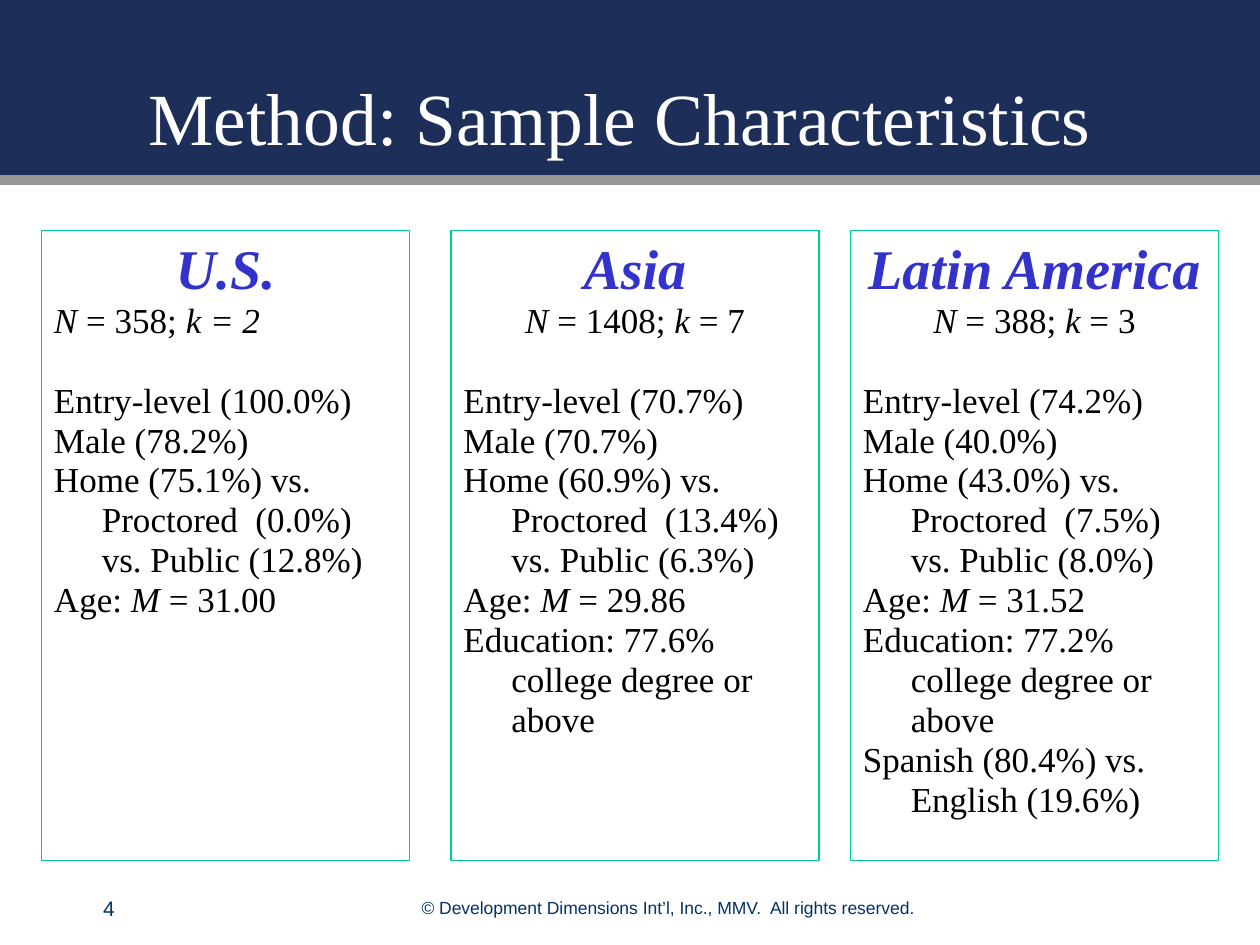
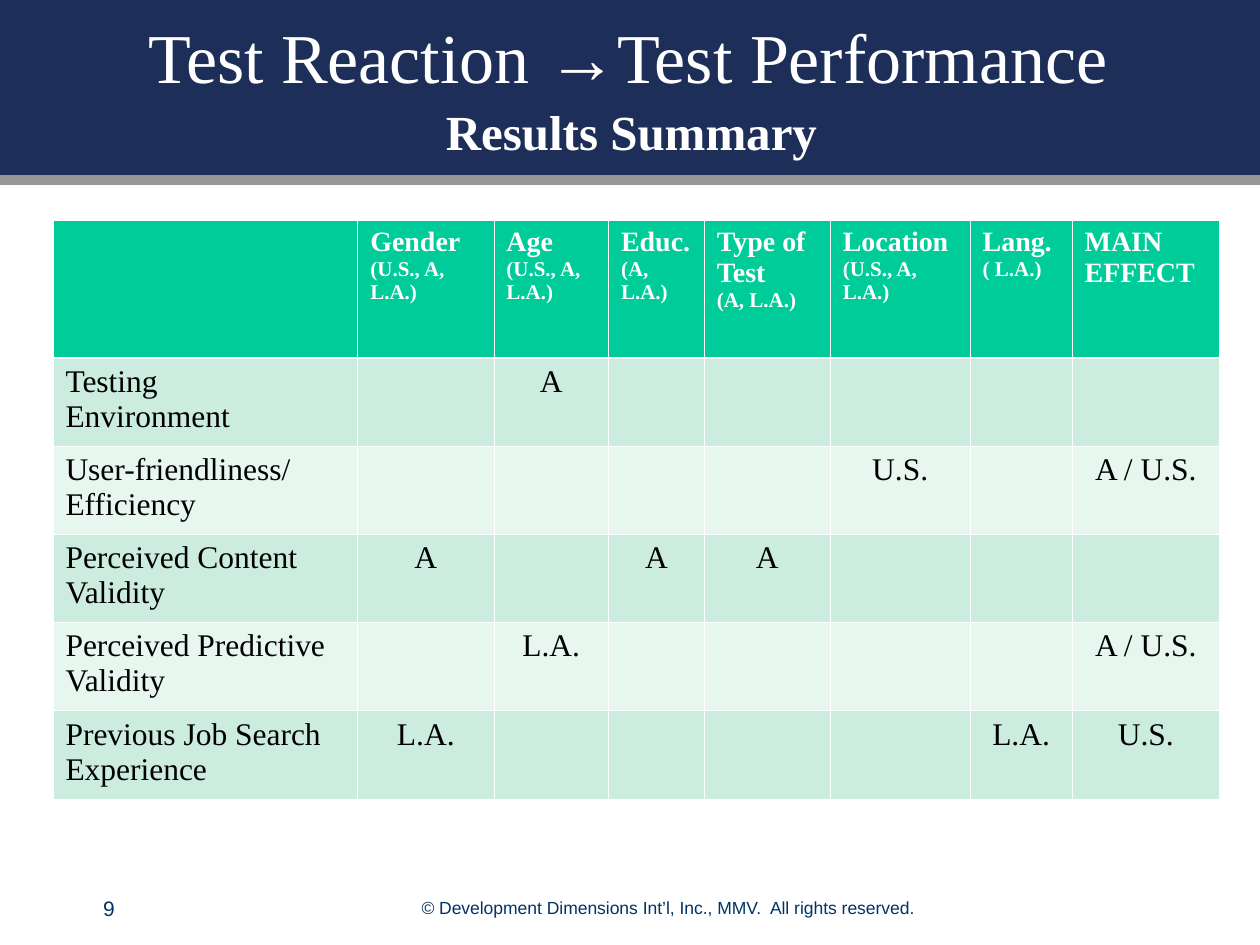
import pptx
import pptx.util
import pptx.dml.color
import pptx.enum.shapes
import pptx.enum.text
import pptx.oxml.ns
import lxml.etree

Inches = pptx.util.Inches
Pt = pptx.util.Pt
RGBColor = pptx.dml.color.RGBColor
ALIGN = pptx.enum.text.PP_ALIGN
ANCHOR = pptx.enum.text.MSO_ANCHOR
qn = pptx.oxml.ns.qn

COPYRIGHT = "© Development Dimensions Int’l, Inc., MMV.  All rights reserved."

SAMPLE_TITLE = [("Method: Sample Characteristics", 42, False, 0)]
SAMPLES = [
    {"left": 0.33, "region": "U.S.", "size": "*N* = 358; *k = 2*", "size_align": ALIGN.LEFT,
     "facts": ["Entry-level (100.0%)", "Male (78.2%)",
               "Home (75.1%) vs. Proctored  (0.0%) vs. Public (12.8%)",
               "Age: *M* = 31.00"]},
    {"left": 3.58, "region": "Asia", "size": "*N* = 1408; *k* = 7", "size_align": ALIGN.CENTER,
     "facts": ["Entry-level (70.7%)", "Male (70.7%)",
               "Home (60.9%) vs. Proctored  (13.4%) vs. Public (6.3%)",
               "Age: *M* = 29.86", "Education: 77.6%  college degree or above"]},
    {"left": 6.75, "region": "Latin America", "size": "*N* = 388; *k* = 3", "size_align": ALIGN.CENTER,
     "facts": ["Entry-level (74.2%)", "Male (40.0%)",
               "Home (43.0%) vs. Proctored  (7.5%) vs. Public (8.0%)",
               "Age: *M* = 31.52", "Education: 77.2% college degree or above",
               "Spanish (80.4%) vs. English (19.6%)"]},
]

RESULTS_TITLE = [("Test Reaction →Test Performance", 40, False, 0),
                 ("Results Summary", 28, True, 2.36)]
MODERATORS = [
    ("", "", 2.42), ("Gender", "(U.S., A, L.A.)", 1.08), ("Age", "(U.S., A, L.A.)", 0.91),
    ("Educ.", "(A, L.A.)", 0.76), ("Type of Test", "(A, L.A.)", 1), ("Location", "(U.S., A, L.A.)", 1.11),
    ("Lang.", "( L.A.)", 0.81), ("MAIN EFFECT", "", 1.17),
]
EFFECTS = [
    (["Testing", "Environment"], {"Age": "A"}),
    (["User-friendliness/ Efficiency"], {"Location": "U.S.", "MAIN EFFECT": "A / U.S."}),
    (["Perceived Content Validity"], {"Gender": "A", "Educ.": "A", "Type of Test": "A"}),
    (["Perceived Predictive Validity"], {"Age": "L.A.", "MAIN EFFECT": "A / U.S."}),
    (["Previous Job Search Experience"], {"Gender": "L.A.", "Lang.": "L.A.", "MAIN EFFECT": "U.S."}),
]

NAVY = RGBColor(0x1D, 0x2E, 0x59)
GREY = RGBColor(0x96, 0x96, 0x96)
FOOTER_BLUE = RGBColor(0x00, 0x33, 0x66)
REGION_BLUE = RGBColor(0x33, 0x33, 0xCC)
GREEN = RGBColor(0x00, 0xCC, 0x99)
STRIPES = (RGBColor(0xCB, 0xEC, 0xDE), RGBColor(0xE7, 0xF6, 0xEF))
WHITE = RGBColor(0xFF, 0xFF, 0xFF)
BLACK = RGBColor(0x00, 0x00, 0x00)
SERIF, SANS = "Times New Roman", "Arial"

WIDTH, HEIGHT = 10, 7.5
BAND_HEIGHT = 1.42
PANEL_TOP, PANEL_WIDTH, PANEL_HEIGHT = 1.83, 2.92, 5
HANGING = 0.38
TITLE_LEADING, PANEL_LEADING = 0.9, 1.14
HEADER_HEIGHT, ROW_HEIGHT = 1.09, 0.7


def add_span(para, text, size, color, font=SERIF, bold=False, italic=False):
    span = para.add_run()
    span.text = text
    span.font.name = font
    span.font.size = Pt(size)
    span.font.color.rgb = color
    span.font.bold = bold
    span.font.italic = italic


def next_para(frame, align=ALIGN.LEFT):
    first = frame.paragraphs[0]
    para = frame.add_paragraph() if first.runs else first
    para.alignment = align
    return para


def set_indent(para, left, first=0):
    properties = para._p.get_or_add_pPr()
    properties.set("marL", str(Inches(left)))
    properties.set("indent", str(Inches(first)))


def add_text_box(page, left, top, width, height, anchor=ANCHOR.TOP):
    box = page.shapes.add_textbox(Inches(left), Inches(top), Inches(width), Inches(height))
    box.text_frame.word_wrap = True
    box.text_frame.vertical_anchor = anchor
    return box.text_frame


def add_rectangle(page, left, top, width, height):
    box = page.shapes.add_shape(pptx.enum.shapes.MSO_SHAPE.RECTANGLE,
                                Inches(left), Inches(top), Inches(width), Inches(height))
    box.shadow.inherit = False
    return box


def add_page(deck, number, title):
    page = deck.slides.add_slide(deck.slide_layouts[6])
    band = add_rectangle(page, 0, 0, WIDTH, BAND_HEIGHT)
    band.fill.solid()
    band.fill.fore_color.rgb = NAVY
    band.line.fill.background()

    rule = page.shapes.add_connector(pptx.enum.shapes.MSO_CONNECTOR.STRAIGHT,
                                     0, Inches(1.43), Inches(WIDTH), Inches(1.43))
    rule.line.color.rgb = GREY
    rule.line.width = Pt(6)
    lxml.etree.SubElement(rule._element.spPr, qn("a:effectLst"))

    frame = add_text_box(page, 2.94, 7.07, 4.72, 0.27)
    add_span(next_para(frame, ALIGN.CENTER), COPYRIGHT, 10, FOOTER_BLUE, SANS)
    frame = add_text_box(page, 0.72, 7.06, 0.97, 0.3)
    add_span(next_para(frame), str(number), 12, FOOTER_BLUE, SANS)

    frame = add_text_box(page, 1.08, 0, 8.08, 1.32, ANCHOR.BOTTOM)
    leading = Pt(title[0][1] * TITLE_LEADING)
    for text, size, bold, indent in title:
        para = next_para(frame)
        para.line_spacing = leading
        set_indent(para, indent)
        add_span(para, text, size, WHITE, bold=bold)
    return page


def add_panel_para(frame, size, align=ALIGN.LEFT):
    para = next_para(frame, align)
    para.line_spacing = Pt(size * PANEL_LEADING)
    set_indent(para, HANGING, -HANGING)
    return para


def add_marked_text(para, text):
    for index, piece in enumerate(text.split("*")):
        if piece:
            add_span(para, piece, 20, BLACK, italic=index % 2 == 1)


def add_sample_panel(page, sample):
    box = add_rectangle(page, sample["left"], PANEL_TOP, PANEL_WIDTH, PANEL_HEIGHT)
    box.fill.background()
    box.line.color.rgb = GREEN
    box.line.width = Pt(0.75)
    frame = box.text_frame
    frame.word_wrap = True
    frame.vertical_anchor = ANCHOR.TOP
    add_span(add_panel_para(frame, 32, ALIGN.CENTER), sample["region"], 32, REGION_BLUE,
             bold=True, italic=True)
    add_marked_text(add_panel_para(frame, 20, sample["size_align"]), sample["size"])
    for index, fact in enumerate(sample["facts"]):
        para = add_panel_para(frame, 20)
        if index == 0:
            para.space_before = Pt(20 * PANEL_LEADING)
        add_marked_text(para, fact)


def style_cell(cell, fill, top, bottom):
    properties = cell._tc.get_or_add_tcPr()
    for side, width in (("L", 0.45), ("R", 0.45), ("T", top), ("B", bottom)):
        border = lxml.etree.SubElement(properties, qn("a:ln" + side), w=str(Pt(width)))
        solid = lxml.etree.SubElement(border, qn("a:solidFill"))
        lxml.etree.SubElement(solid, qn("a:srgbClr"), val=str(WHITE))
    cell.fill.solid()
    cell.fill.fore_color.rgb = fill


def add_effects_table(page):
    widths = [width for _, _, width in MODERATORS]
    heights = [HEADER_HEIGHT] + [ROW_HEIGHT] * len(EFFECTS)
    table = page.shapes.add_table(len(heights), len(widths), Inches(0.42), Inches(1.75),
                                  Inches(sum(widths)), Inches(sum(heights))).table
    for column, width in zip(table.columns, widths):
        column.width = Inches(width)
    for row, height in zip(table.rows, heights):
        row.height = Inches(height)

    for column, (name, regions, _) in enumerate(MODERATORS):
        cell = table.cell(0, column)
        style_cell(cell, GREEN, 0.45, 1.47)
        for text, size in ((name, 16), (regions, 12)):
            if text:
                add_span(next_para(cell.text_frame), text, size, WHITE, bold=True)

    for row, (labels, found) in enumerate(EFFECTS, 1):
        for column, (name, _, _) in enumerate(MODERATORS):
            cell = table.cell(row, column)
            style_cell(cell, STRIPES[(row - 1) % 2], 1.47 if row == 1 else 0.45, 0.45)
            lines = labels if column == 0 else [found[name]] if name in found else []
            for line in lines:
                para = next_para(cell.text_frame, ALIGN.CENTER if column else ALIGN.LEFT)
                add_span(para, line, 18, BLACK)


def main():
    deck = pptx.Presentation()
    deck.slide_width, deck.slide_height = Inches(WIDTH), Inches(HEIGHT)
    page = add_page(deck, 4, SAMPLE_TITLE)
    for sample in SAMPLES:
        add_sample_panel(page, sample)
    add_effects_table(add_page(deck, 9, RESULTS_TITLE))
    deck.save("out.pptx")


if __name__ == "__main__":
    main()
